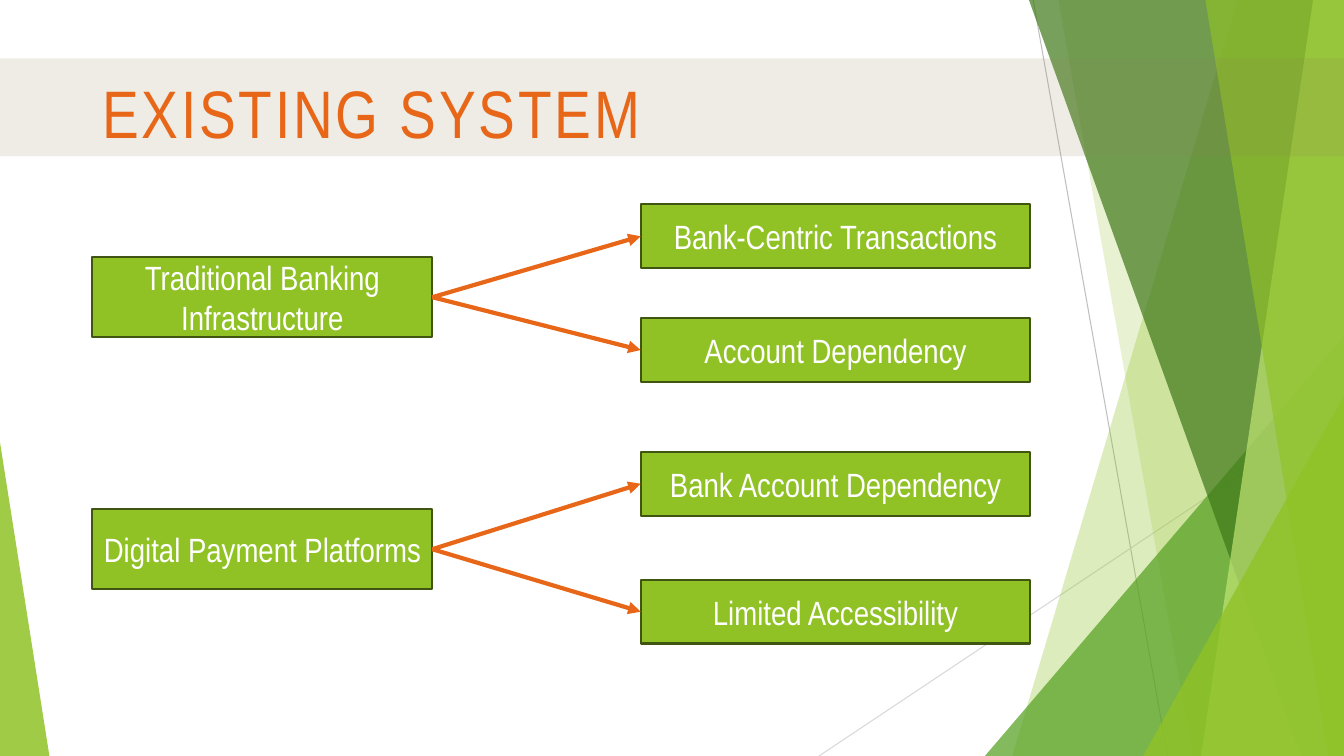
from lxml import etree
from pptx import Presentation
from pptx import util as u
from pptx.dml import color as dml
from pptx.enum import shapes, text
from pptx.oxml import ns

Pt = u.Pt
COLORS = {
    "lime": "90C226", "green": "54A021", "forest": "3F7819", "pale": "C0E474",
    "khaki": "918655", "orange": "E76618", "edge": "3F5511", "white": "FFFFFF",
    "gray": "BFBFBF", "light_gray": "D9D9D9",
}
RGB = {name: dml.RGBColor.from_string(value) for name, value in COLORS.items()}
WIDTH, HEIGHT = 960, 540

deck = Presentation()
deck.slide_width, deck.slide_height = Pt(WIDTH), Pt(HEIGHT)
page = deck.slides.add_slide(deck.slide_layouts[6])


def draw_line(start, end, color, weight):
    line = page.shapes.add_connector(
        shapes.MSO_CONNECTOR.STRAIGHT, *[Pt(value) for value in (*start, *end)])
    line.line.color.rgb = RGB[color]
    line.line.width = Pt(weight)
    etree.SubElement(line._element.spPr, ns.qn("a:effectLst"))
    return line


def write(box, words, size, color, align):
    frame = box.text_frame
    frame.word_wrap = True
    frame.vertical_anchor = text.MSO_ANCHOR.MIDDLE
    para = frame.paragraphs[0]
    para.alignment = align
    span = para.add_run()
    span.text = words
    span.font.name = "Arial Narrow"
    span.font.size = Pt(size)
    span.font.color.rgb = RGB[color]
    return span


# Thin background lines
draw_line((738, 0), (834, HEIGHT), "gray", 0.75)
draw_line((WIDTH, 290), (585, HEIGHT), "light_gray", 0.75)

# Translucent facets and title band, back to front
# A facet gives its top and bottom x and reaches the right edge of the page
# A triangle gives left, top, width, height and apex; a band gives top and height
decor = [
    ("facet", (884, 723), "lime", 30),
    ("facet", (756, 852), "lime", 20),
    ("triangle", (703.5, 240, 256.5, 300, 1), "green", 72),
    ("facet", (735, 929.5), "forest", 70),
    ("facet", (938, 858), "pale", 70),
    ("facet", (861, 949), "lime", 65),
    ("triangle", (816.5, 283, 143.5, 257, 1), "lime", 80),
    ("triangle", (0, 316, 35.3, 224, 0), "lime", 85),
    ("band", (41.8, 69.8), "khaki", 15),
]
for kind, geometry, color, opacity in decor:
    if kind == "facet":
        top_x, bottom_x = geometry
        outline = page.shapes.build_freeform(Pt(top_x), 0)
        corners = [(WIDTH, 0), (WIDTH, HEIGHT), (bottom_x, HEIGHT)]
        outline.add_line_segments([(Pt(x), Pt(y)) for x, y in corners])
        piece = outline.convert_to_shape()
    elif kind == "triangle":
        *frame, apex = geometry
        piece = page.shapes.add_shape(
            shapes.MSO_SHAPE.ISOSCELES_TRIANGLE, *[Pt(value) for value in frame])
        piece.adjustments[0] = apex
    else:
        top, height = geometry
        piece = page.shapes.add_shape(
            shapes.MSO_SHAPE.RECTANGLE, 0, Pt(top), Pt(WIDTH), Pt(height))
    piece.shadow.inherit = False
    piece.line.fill.background()
    piece.fill.solid()
    piece.fill.fore_color.rgb = RGB[color]
    tint = piece._element.spPr.find(".//" + ns.qn("a:srgbClr"))
    etree.SubElement(tint, ns.qn("a:alpha"), val=str(opacity * 1000))

# Title
title = page.shapes.add_textbox(Pt(66), Pt(51), Pt(828), Pt(57))
span = write(title, "EXISTING SYSTEM", 48, "orange", text.PP_ALIGN.LEFT)
span.font._element.set("spc", "200")

# Systems with their drawbacks: words and top of each box
systems = [
    (("Traditional Banking Infrastructure", 183.8),
     [("Bank-Centric Transactions", 146), ("Account Dependency", 227.3)]),
    (("Digital Payment Platforms", 363.8),
     [("Bank Account Dependency", 322.8), ("Limited Accessibility", 414.2)]),
]
SYSTEM_COLUMN = (66, 242.8, 57)
DRAWBACK_COLUMN = (457.7, 278, 45.5)
links = []
for system, drawbacks in systems:
    boxes = []
    for words, top in [system, *drawbacks]:
        left, width, height = DRAWBACK_COLUMN if boxes else SYSTEM_COLUMN
        box = page.shapes.add_shape(
            shapes.MSO_SHAPE.RECTANGLE, Pt(left), Pt(top), Pt(width), Pt(height))
        box.shadow.inherit = False
        box.fill.solid()
        box.fill.fore_color.rgb = RGB["lime"]
        box.line.color.rgb = RGB["edge"]
        box.line.width = Pt(1.5)
        write(box, words, 24, "white", text.PP_ALIGN.CENTER)
        boxes.append(box)
    links += [(boxes[0], drawback) for drawback in boxes[1:]]

# Arrows from the right side of a system to the left side of a drawback
for system_box, drawback_box in links:
    arrow = draw_line((0, 0), (0, 0), "orange", 3)
    arrow.begin_connect(system_box, 3)
    arrow.end_connect(drawback_box, 1)
    etree.SubElement(arrow.line._get_or_add_ln(), ns.qn("a:tailEnd"), type="triangle")

deck.save("out.pptx")
